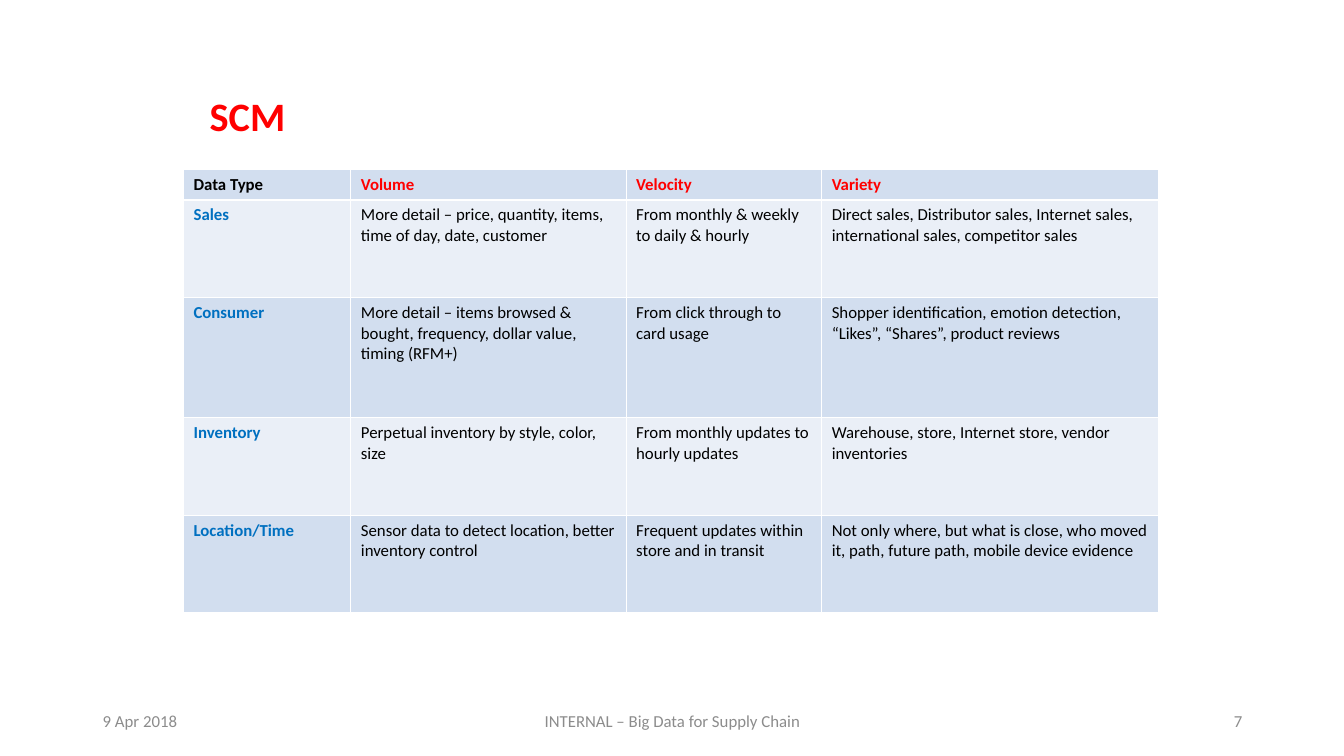
from lxml import etree
from pptx import Presentation
from pptx.dml.color import RGBColor
from pptx.enum.text import MSO_ANCHOR, PP_ALIGN
from pptx.oxml.ns import qn
from pptx.util import Inches, Pt

LEFT, CENTER, RIGHT = PP_ALIGN.LEFT, PP_ALIGN.CENTER, PP_ALIGN.RIGHT
MIDDLE = MSO_ANCHOR.MIDDLE

RED = RGBColor(0xFF, 0x00, 0x00)
BLUE = RGBColor(0x00, 0x70, 0xC0)
BLACK = RGBColor(0x00, 0x00, 0x00)
GRAY = RGBColor(0x8C, 0x8C, 0x8C)
WHITE = RGBColor(0xFF, 0xFF, 0xFF)
BANDS = (RGBColor(0xD2, 0xDE, 0xEF), RGBColor(0xEA, 0xEF, 0xF7))

TITLE = "SCM"
ROWS = [
    ("Data Type", "Volume", "Velocity", "Variety"),
    ("Sales",
     "More detail – price, quantity, items, time of day, date, customer",
     "From monthly & weekly to daily & hourly",
     "Direct sales, Distributor sales, Internet sales, international sales, competitor sales"),
    ("Consumer",
     "More detail – items browsed & bought, frequency, dollar value, timing (RFM+)",
     "From click through to card usage",
     "Shopper identification, emotion detection, “Likes”, “Shares”, product reviews"),
    ("Inventory",
     "Perpetual inventory by style, color, size",
     "From monthly updates to hourly updates",
     "Warehouse, store, Internet store, vendor inventories"),
    ("Location/Time",
     "Sensor data to detect location, better inventory control",
     "Frequent updates within store and in transit",
     "Not only where, but what is close, who moved it, path, future path, mobile device evidence"),
]
COLUMN_WIDTHS = (1.66, 2.73, 1.94, 3.34)
ROW_HEIGHTS = (0.29, 0.97, 1.19, 0.97, 0.97)
FOOTERS = [  # text, left, width, alignment
    ("9 Apr 2018", 0.92, 3, LEFT),
    ("INTERNAL – Big Data for Supply Chain", 4.42, 4.5, CENTER),
    ("7", 9.42, 3, RIGHT),
]


def write(frame, text, color, size=12, bold=False, alignment=LEFT):
    paragraph = frame.paragraphs[0]
    paragraph.alignment = alignment
    run = paragraph.add_run()
    run.text = text
    formats = {"name": "Calibri", "size": Pt(size), "bold": bold}
    for name, value in formats.items():
        setattr(run.font, name, value)
    run.font.color.rgb = color
    return paragraph


def add_borders(cell):
    properties = cell._tc.get_or_add_tcPr()
    for index, side in enumerate(("a:lnL", "a:lnR", "a:lnT", "a:lnB")):
        line = etree.Element(qn(side), w=str(Pt(1)))
        fill = etree.SubElement(line, qn("a:solidFill"))
        etree.SubElement(fill, qn("a:srgbClr"), val=str(WHITE))
        properties.insert(index, line)


def cell_color(row, column):
    if row == 0:
        return RED if column else BLACK
    return BLACK if column else BLUE


def add_title(slide):
    title = slide.shapes.title
    box = {"left": 1.98, "top": 0.89, "width": 9.35, "height": 0.57}
    for name, value in box.items():
        setattr(title, name, Inches(value))
    title.text_frame.vertical_anchor = MIDDLE
    paragraph = write(title.text_frame, TITLE, RED, 28.8, True)
    paragraph.line_spacing = 0.9


def add_data_table(slide):
    table = slide.shapes.add_table(
        len(ROWS), len(COLUMN_WIDTHS), Inches(1.82), Inches(1.68),
        Inches(sum(COLUMN_WIDTHS)), Inches(sum(ROW_HEIGHTS))).table
    for column, width in zip(table.columns, COLUMN_WIDTHS):
        column.width = Inches(width)
    for row, height in zip(table.rows, ROW_HEIGHTS):
        row.height = Inches(height)
    for row, texts in enumerate(ROWS):
        for column, text in enumerate(texts):
            cell = table.cell(row, column)
            cell.fill.solid()
            cell.fill.fore_color.rgb = BANDS[row % 2]
            add_borders(cell)
            write(cell.text_frame, text, cell_color(row, column),
                  bold=row == 0 or column == 0)


def add_footers(slide):
    for text, left, width, alignment in FOOTERS:
        frame = slide.shapes.add_textbox(
            Inches(left), Inches(6.95), Inches(width), Inches(0.4)).text_frame
        frame.word_wrap = True
        frame.vertical_anchor = MIDDLE
        write(frame, text, GRAY, alignment=alignment)


def main():
    presentation = Presentation()
    presentation.slide_width = Inches(13.33)
    presentation.slide_height = Inches(7.5)
    slide = presentation.slides.add_slide(presentation.slide_layouts[5])
    add_title(slide)
    add_data_table(slide)
    add_footers(slide)
    presentation.save("out.pptx")


if __name__ == "__main__":
    main()
